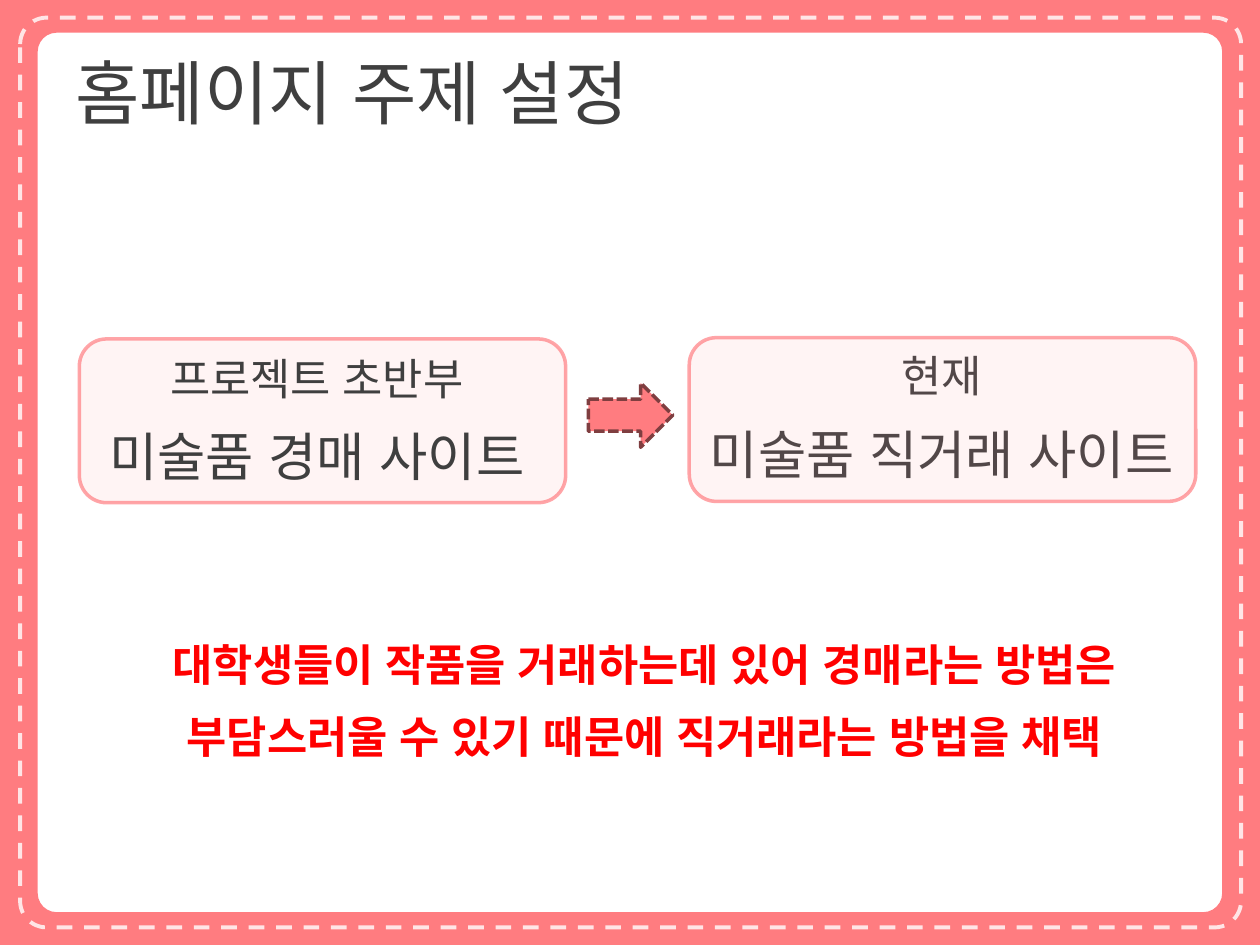
from math import cos, radians, sin

from lxml.etree import SubElement
from pptx import Presentation
from pptx.dml.color import RGBColor
from pptx.enum.dml import MSO_LINE
from pptx.enum.shapes import MSO_SHAPE
from pptx.enum.text import MSO_ANCHOR, PP_ALIGN
from pptx.oxml.ns import qn
from pptx.util import Inches, Pt

THEME = {
    "font": "Arial", "pink": "FF7C80", "stitch": "FFE5E6", "tint": "FF9699",
    "edge": "FF565B", "dark": "7F3E40", "ink": "3F3F3F", "red": "FF0000",
    "title": 40, "big": 30, "body": 25, "gap": 11.5,
}


def color(name):
    return RGBColor.from_string(THEME[name])


def fade(fill, share):
    """Set the opacity, in percent, of a solid fill."""
    tone = fill._xPr.find(qn("a:solidFill"))[0]
    SubElement(tone, qn("a:alpha")).set("val", str(share * 1000))


def paint(shape, fill=None, alpha=None, line=None, width=2, dash=None, clear=None):
    shape.shadow.inherit = False
    if fill:
        shape.fill.solid()
        shape.fill.fore_color.rgb = color(fill)
        if alpha:
            fade(shape.fill, alpha)
    else:
        shape.fill.background()
    if not line:
        shape.line.fill.background()
        return
    shape.line.color.rgb = color(line)
    for key, val in {"width": Pt(width), "dash_style": dash}.items():
        setattr(shape.line, key, val)
    if clear:
        fade(shape.line.fill, clear)


def add_shape(slide, kind, box, adj=None, **look):
    shape = slide.shapes.add_shape(kind, *map(Inches, box))
    if adj is not None:
        shape.adjustments[0] = adj
    paint(shape, **look)


def write(para, text, size, tone="ink", bold=False, align=PP_ALIGN.CENTER):
    para.alignment = align
    run = para.add_run()
    run.text = text
    look = {"name": THEME["font"], "size": Pt(THEME[size]), "bold": bold}
    for key, val in look.items():
        setattr(run.font, key, val)
    run.font.color.rgb = color(tone)
    # Korean text takes the East Asian font
    SubElement(run.font._element, qn("a:ea")).set("typeface", THEME["font"])


def add_text(slide, box, lines, **look):
    frame = slide.shapes.add_textbox(*map(Inches, box)).text_frame
    frame.word_wrap = True
    for i, (text, size) in enumerate(lines):
        para = frame.add_paragraph() if i else frame.paragraphs[0]
        if i:
            para.space_before = Pt(THEME["gap"])
        write(para, text, size, **look)


def add_frame(slide):
    """Pink border with a rounded opening."""
    left, top, right, base, rad = 0.3, 0.26, 9.7, 7.24, 0.15
    hubs = [(right - rad, base - rad, 0), (left + rad, base - rad, 90),
            (left + rad, top + rad, 180), (right - rad, top + rad, 270)]
    hole = [(Inches(x + rad * cos(radians(turn + step))),
             Inches(y + rad * sin(radians(turn + step))))
            for x, y, turn in hubs for step in range(0, 91, 15)]
    wide, high = Inches(10), Inches(7.5)
    form = slide.shapes.build_freeform(0, 0)
    form.add_line_segments([(0, high), (wide, high), (wide, 0)], close=True)
    form.move_to(*hole[0])
    form.add_line_segments(hole[1:], close=True)
    paint(form.convert_to_shape(), fill="pink")


def add_title(slide, text):
    title = slide.shapes.title
    for key, val in zip(("left", "top", "width", "height"), (0.5, 0.3, 9, 0.85)):
        setattr(title, key, Inches(val))
    title.text_frame.vertical_anchor = MSO_ANCHOR.MIDDLE
    write(title.text_frame.paragraphs[0], text, "title", align=PP_ALIGN.LEFT)


def main():
    deck = Presentation()
    deck.slide_width, deck.slide_height = Inches(10), Inches(7.5)
    slide = deck.slides.add_slide(deck.slide_layouts[5])

    # Border and title
    add_frame(slide)
    add_shape(slide, MSO_SHAPE.ROUNDED_RECTANGLE, (0.16, 0.14, 9.69, 7.22), 0.029,
              line="stitch", width=2.25, dash=MSO_LINE.DASH)
    add_title(slide, "홈페이지 주제 설정")

    # Topic before and now; the second panel tints its text
    panel = {"fill": "tint", "alpha": 10, "line": "edge", "clear": 53}
    early = [("프로젝트 초반부", "body"), ("미술품 경매 사이트", "big")]
    now = [("현재", "body"), ("미술품 직거래 사이트", "big")]
    add_text(slide, (5.43, 2.72, 4.09, 1.18), now)
    add_shape(slide, MSO_SHAPE.ROUNDED_RECTANGLE, (0.63, 2.69, 3.86, 1.3), **panel)
    add_text(slide, (0.43, 2.74, 4.17, 1.18), early)
    add_shape(slide, MSO_SHAPE.ROUNDED_RECTANGLE, (5.47, 2.68, 4.02, 1.3), **panel)
    add_shape(slide, MSO_SHAPE.RIGHT_ARROW, (4.67, 3.04, 0.67, 0.51),
              fill="pink", line="dark", dash=MSO_LINE.SQUARE_DOT)

    # Reason for the change
    reason = ["대학생들이 작품을 거래하는데 있어 경매라는 방법은",
              "부담스러울 수 있기 때문에 직거래라는 방법을 채택"]
    add_text(slide, (0.98, 5.01, 8.27, 1.09), [(row, "body") for row in reason],
             tone="red", bold=True)

    deck.save("out.pptx")


main()
